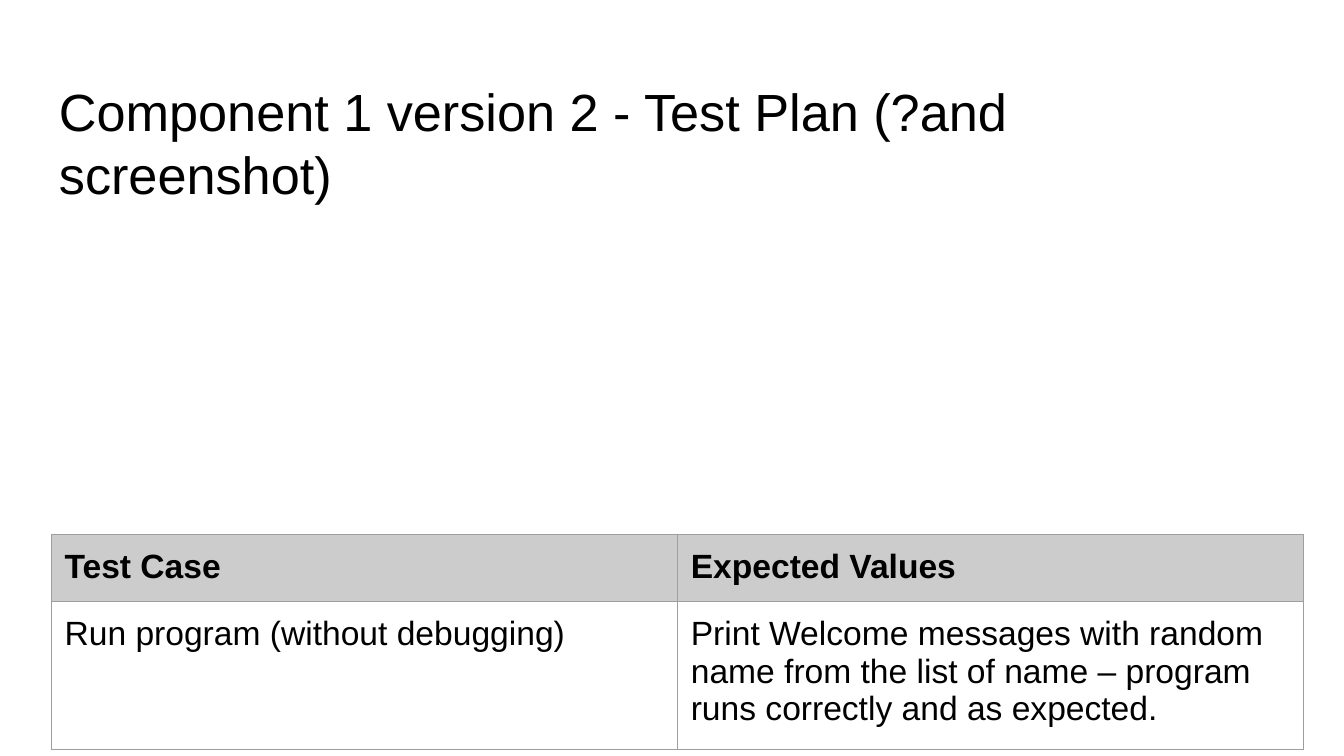
from lxml.etree import SubElement
from pptx import Presentation
from pptx.dml.color import RGBColor
from pptx.oxml.ns import qn
from pptx.util import Pt

TITLE = "Component 1 version 2 - Test Plan (?and screenshot)"
ROWS = [
    ("Test Case", "Expected Values"),
    ("Run program (without debugging)",
     "Print Welcome messages with random name from the list of name – program "
     "runs correctly and as expected."),
]
ROW_HEIGHTS = (34.8, 74.5)
COLUMN_WIDTH = 335.5
INSET = 7.2
BORDER, HEADER_FILL = "9E9E9E", "CCCCCC"


def color(value):
    return RGBColor.from_string(value)


def write(frame, text, size=18, bold=False, ink="000000", font="Arial"):
    frame.word_wrap = True
    span = frame.paragraphs[0].add_run()
    span.text = text
    span.font.name = font
    span.font.size = Pt(size)
    span.font.bold = bold
    span.font.color.rgb = color(ink)


def set_insets(target):
    for side in ("left", "top", "right", "bottom"):
        setattr(target, f"margin_{side}", Pt(INSET))


def add_borders(cell, ink, width=0.75):
    properties = cell._tc.get_or_add_tcPr()
    for position, side in enumerate(("lnL", "lnR", "lnT", "lnB")):
        line = SubElement(properties, qn(f"a:{side}"), w=str(Pt(width)))
        fill = SubElement(line, qn("a:solidFill"))
        SubElement(fill, qn("a:srgbClr"), val=ink)
        properties.insert(position, line)  # borders come before the fill


deck = Presentation()
deck.slide_width, deck.slide_height = Pt(720), Pt(405)
page = deck.slides.add_slide(deck.slide_layouts[6])

title = page.shapes.add_textbox(Pt(24.5), Pt(35.3), Pt(671), Pt(45.4))
set_insets(title.text_frame)
write(title.text_frame, TITLE, size=28)

table = page.shapes.add_table(
    len(ROWS), len(ROWS[0]), Pt(27.4), Pt(286.2),
    Pt(COLUMN_WIDTH * len(ROWS[0])), Pt(sum(ROW_HEIGHTS))).table
table.horz_banding = False
for column in table.columns:
    column.width = Pt(COLUMN_WIDTH)
for r, texts in enumerate(ROWS):
    table.rows[r].height = Pt(ROW_HEIGHTS[r])
    for c, text in enumerate(texts):
        cell = table.cell(r, c)
        is_header = r == 0
        set_insets(cell)
        if is_header:
            cell.fill.solid()
            cell.fill.fore_color.rgb = color(HEADER_FILL)
        else:
            cell.fill.background()
        write(cell.text_frame, text, bold=is_header)
        add_borders(cell, BORDER)

deck.save("out.pptx")
